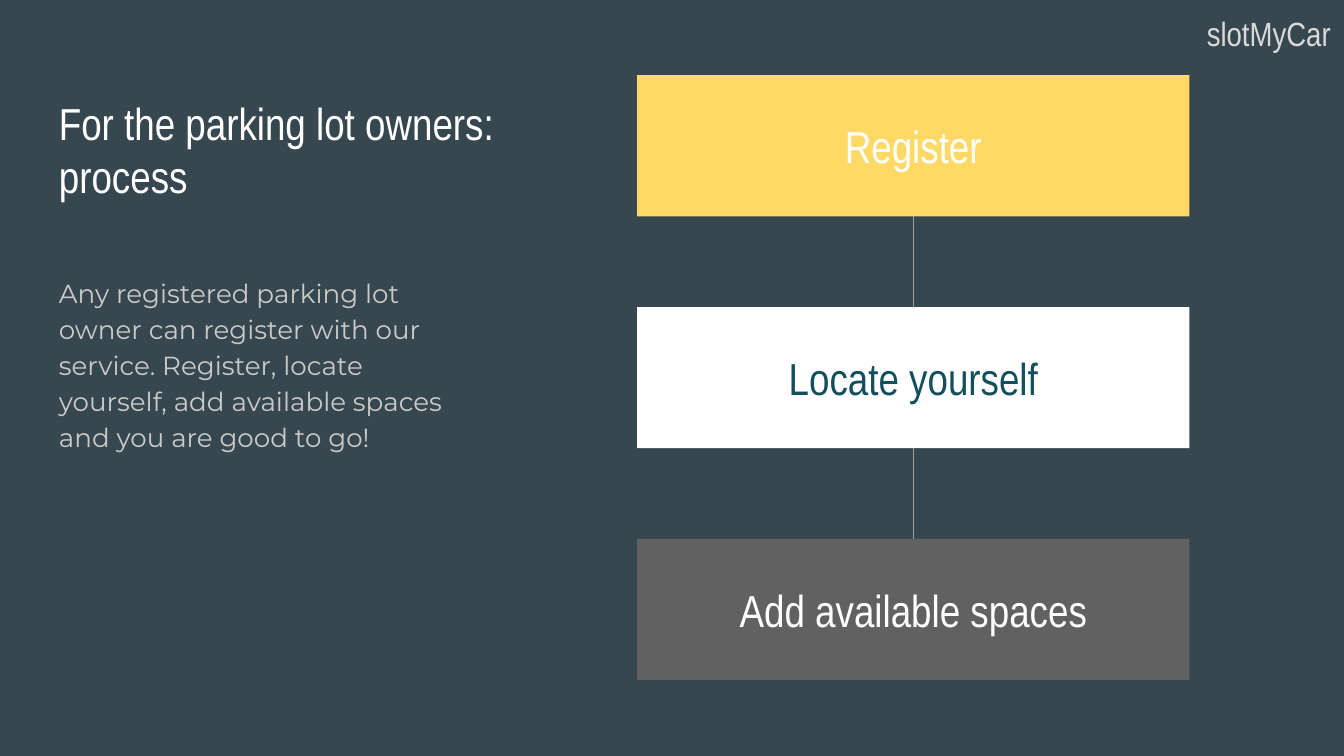
from pptx import Presentation
from pptx.dml.color import RGBColor
from pptx.enum.shapes import MSO_CONNECTOR, MSO_SHAPE
from pptx.enum.text import MSO_ANCHOR, PP_ALIGN
from pptx.oxml.ns import qn
from pptx.util import Inches, Pt
from lxml.etree import SubElement

SLATE = RGBColor(0x37, 0x47, 0x4F)
YELLOW = RGBColor(0xFF, 0xD9, 0x66)
WHITE = RGBColor(0xFF, 0xFF, 0xFF)
GRAY = RGBColor(0x61, 0x61, 0x61)
TEAL = RGBColor(0x13, 0x4F, 0x5C)
BODY_GRAY = RGBColor(0xCA, 0xCA, 0xCA)
LINE_GRAY = RGBColor(0x9E, 0x9E, 0x9E)
BRAND_GRAY = RGBColor(0xD9, 0xD9, 0xD9)
HEADING_FONT = "Arial Narrow"
BODY_FONT = "Montserrat"


def write_text(shape, text, size, color, font=HEADING_FONT, align=PP_ALIGN.LEFT, anchor=MSO_ANCHOR.TOP):
    text_frame = shape.text_frame
    text_frame.word_wrap = True
    text_frame.vertical_anchor = anchor
    text_frame.margin_left = text_frame.margin_right = Inches(0.1)
    text_frame.margin_top = text_frame.margin_bottom = Inches(0.1)
    text_frame.text = text
    for paragraph in text_frame.paragraphs:
        paragraph.alignment = align
        for run in paragraph.runs:
            run.font.name = font
            run.font.size = Pt(size)
            run.font.color.rgb = color


presentation = Presentation()
presentation.slide_width = Inches(10)
presentation.slide_height = Inches(10) * 9 // 16
slide = presentation.slides.add_slide(presentation.slide_layouts[6])
slide.background.fill.solid()
slide.background.fill.fore_color.rgb = SLATE
shapes = slide.shapes

title = shapes.add_textbox(Inches(0.34), Inches(0.61), Inches(3.83), Inches(1.32))
write_text(title, "For the parking lot owners:\nprocess", 24, WHITE)

steps = [
    ("Register", YELLOW, WHITE),
    ("Locate yourself", WHITE, TEAL),
    ("Add available spaces", GRAY, WHITE),
]
step_left, step_top = Inches(4.74), Inches(0.56)
step_width, step_height = Inches(4.11), Inches(1.05)
step_pitch = (Inches(4.01) - step_top) // 2
line_x = step_left + step_width // 2

for index, (label, fill_color, text_color) in enumerate(steps):
    top = step_top + index * step_pitch
    step = shapes.add_shape(MSO_SHAPE.RECTANGLE, step_left, top, step_width, step_height)
    step.shadow.inherit = False
    step.fill.solid()
    step.fill.fore_color.rgb = fill_color
    step.line.fill.background()
    write_text(step, label, 24, text_color, align=PP_ALIGN.CENTER, anchor=MSO_ANCHOR.MIDDLE)

body = shapes.add_textbox(Inches(0.34), Inches(1.93), Inches(3.07), Inches(3.07))
write_text(
    body,
    "Any registered parking lot owner can register with our service. "
    "Register, locate yourself, add available spaces and you are good to go!",
    14, BODY_GRAY, BODY_FONT,
)
body.text_frame.paragraphs[0].line_spacing = 1.15
body.text_frame.paragraphs[0].space_after = Pt(16)

for index in range(len(steps) - 1):
    top = step_top + index * step_pitch
    connector = shapes.add_connector(
        MSO_CONNECTOR.STRAIGHT, line_x, top + step_height, line_x, top + step_pitch
    )
    connector.line.color.rgb = LINE_GRAY
    connector.line.width = Pt(0.75)
    SubElement(connector._element.spPr, qn("a:effectLst"))

brand = shapes.add_textbox(Inches(7.88), Inches(0), Inches(2.12), Inches(0.57))
write_text(brand, "slotMyCar", 18, BRAND_GRAY, align=PP_ALIGN.RIGHT)

presentation.save("out.pptx")
